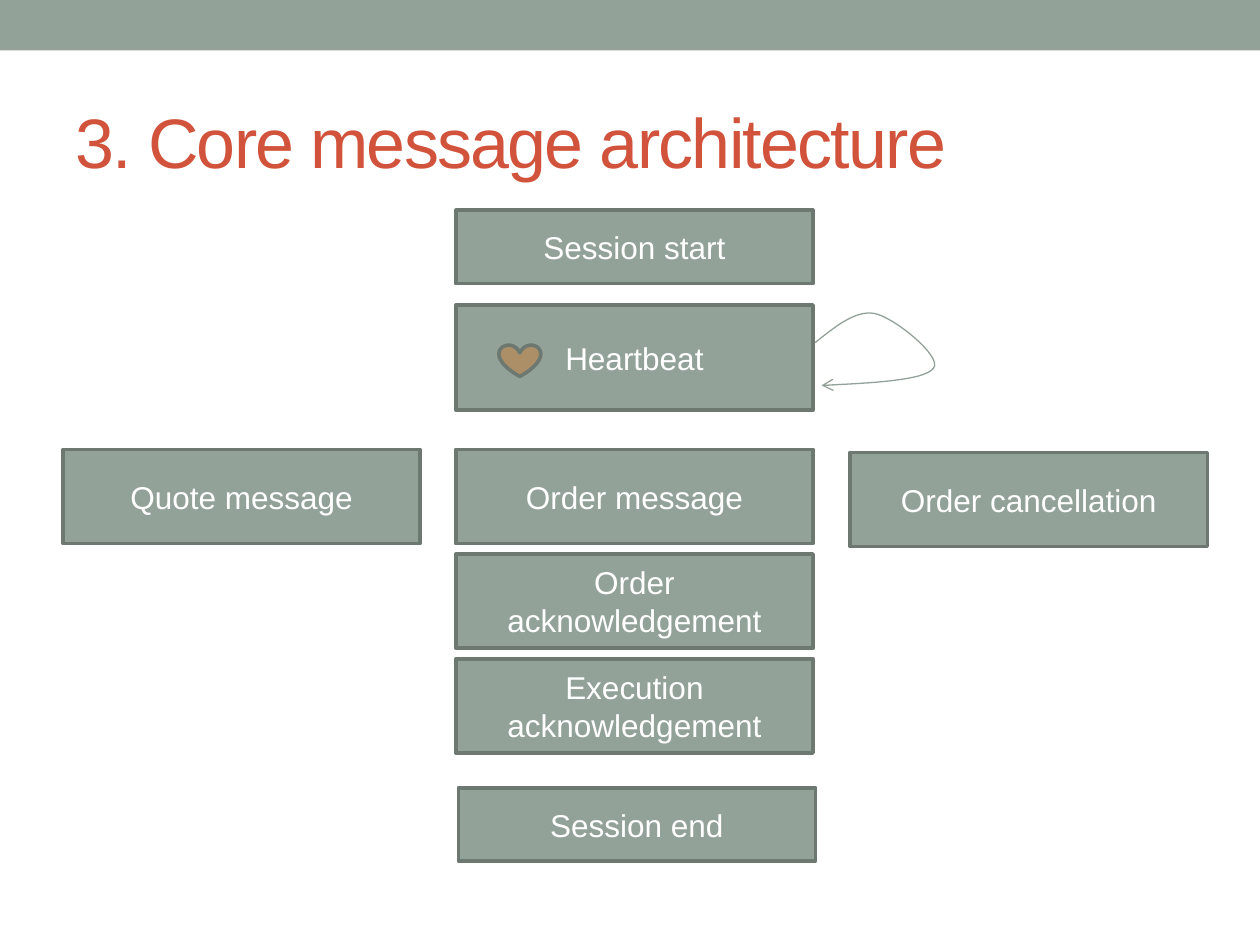
from dataclasses import dataclass

import pptx
import pptx.dml.color
import pptx.enum.shapes
import pptx.enum.text
import pptx.oxml
import pptx.oxml.ns
import pptx.util
from pptx.util import Cm, Pt

COLORS = {
    "sage": "93A299",
    "outline": "6D7871",
    "heart": "AD8F67",
    "title": "D2533C",
    "white": "FFFFFF",
}
SHAPES = pptx.enum.shapes.MSO_SHAPE
ALIGN = pptx.enum.text.PP_ALIGN
MIDDLE = pptx.enum.text.MSO_ANCHOR.MIDDLE

BOX_W = 7.2
LEFT_X, CENTER_X, RIGHT_X = 1.27, 9.19, 17.14
SHORT_H, MESSAGE_H, HEARTBEAT_H = 1.48, 1.9, 2.12
MESSAGE_Y, MESSAGE_STEP = 9.06, 2.11

# Cubic segments of the heartbeat loop, in cm; each starts where the last ends.
LOOP_START = (16.43, 6.91)
LOOP_CURVES = [
    ((16.84, 6.58), (17.25, 6.25), (17.63, 6.32)),
    ((18.03, 6.4), (19.0, 7.19), (18.82, 7.42)),
    ((18.64, 7.67), (17.6, 7.72), (16.56, 7.77)),
]
CURVE_STEPS = 16


@dataclass
class Box:
    text: str
    x: float
    y: float
    h: float


BOXES = [
    Box("Heartbeat", CENTER_X, 6.15, HEARTBEAT_H),
    Box("Session start", CENTER_X, 4.24, SHORT_H),
    Box("Quote message", LEFT_X, MESSAGE_Y, MESSAGE_H),
    *(
        Box(text, CENTER_X, MESSAGE_Y + i * MESSAGE_STEP, MESSAGE_H)
        for i, text in enumerate(
            ["Order message", "Order acknowledgement", "Execution acknowledgement"]
        )
    ),
    Box("Order cancellation", RIGHT_X, 9.12, MESSAGE_H),
    Box("Session end", 9.24, 15.88, SHORT_H),
]


def rgb(name: str) -> pptx.dml.color.RGBColor:
    return pptx.dml.color.RGBColor.from_string(COLORS[name])


def set_text(s, text: str, size: float, color: str, align):
    """Write one line of middle-anchored text and return its run."""
    tf = s.text_frame
    tf.word_wrap = True
    tf.vertical_anchor = MIDDLE
    p = tf.paragraphs[0]
    p.alignment = align
    r = p.add_run()
    r.text = text
    for name, value in {"name": "Arial", "size": Pt(size)}.items():
        setattr(r.font, name, value)
    r.font.color.rgb = rgb(color)
    return r


def add_filled(slide, kind, x: float, y: float, w: float, h: float,
               fill: str, outlined: bool = True):
    s = slide.shapes.add_shape(kind, Cm(x), Cm(y), Cm(w), Cm(h))
    s.shadow.inherit = False
    s.fill.solid()
    s.fill.fore_color.rgb = rgb(fill)
    if outlined:
        s.line.color.rgb = rgb("outline")
        s.line.width = Pt(2.08)
    else:
        s.line.fill.background()
    return s


def add_title(slide, text: str) -> None:
    s = slide.shapes.title
    frame = {"left": 1.27, "top": 1.47, "width": 22.86, "height": 2.74}
    for name, value in frame.items():
        setattr(s, name, Cm(value))
    r = set_text(s, text, 40, "title", ALIGN.LEFT)
    s.text_frame.auto_size = pptx.enum.text.MSO_AUTO_SIZE.NONE
    r.font._element.set("spc", "-100")


def add_box(slide, box: Box) -> None:
    s = add_filled(slide, SHAPES.RECTANGLE, box.x, box.y, BOX_W, box.h, "sage")
    set_text(s, box.text, 18, "white", ALIGN.CENTER)


def bezier(p0, p1, p2, p3, t: float) -> tuple[int, int]:
    """Return the point at t on a cubic curve, in EMU."""
    u = 1 - t
    x, y = (
        u**3 * a + 3 * u * u * t * b + 3 * u * t * t * c + t**3 * d
        for a, b, c, d in zip(p0, p1, p2, p3)
    )
    return Cm(x), Cm(y)


def add_loop_arrow(slide) -> None:
    builder = slide.shapes.build_freeform(*(Cm(v) for v in LOOP_START))
    start, points = LOOP_START, []
    for curve in LOOP_CURVES:
        points += [
            bezier(start, *curve, i / CURVE_STEPS) for i in range(1, CURVE_STEPS + 1)
        ]
        start = curve[-1]
    builder.add_line_segments(points, close=False)
    s = builder.convert_to_shape()
    s.shadow.inherit = False
    s.fill.background()
    s.line.color.rgb = rgb("sage")
    s.line.width = Pt(0.75)
    tail = pptx.oxml.parse_xml(
        f'<a:tailEnd {pptx.oxml.ns.nsdecls("a")} type="arrow"/>'
    )
    s.line._get_or_add_ln().append(tail)


def main() -> None:
    prs = pptx.Presentation()
    prs.slide_width, prs.slide_height = Cm(25.4), Cm(19.05)
    slide = prs.slides.add_slide(prs.slide_layouts[5])

    add_filled(slide, SHAPES.RECTANGLE, 0, 0, 25.4, 1.02, "sage", outlined=False)
    add_title(slide, "3. Core message architecture")
    for box in BOXES:
        add_box(slide, box)
    add_filled(slide, SHAPES.HEART, 10.06, 6.95, 0.84, 0.64, "heart")
    add_loop_arrow(slide)

    prs.save("out.pptx")


if __name__ == "__main__":
    main()
